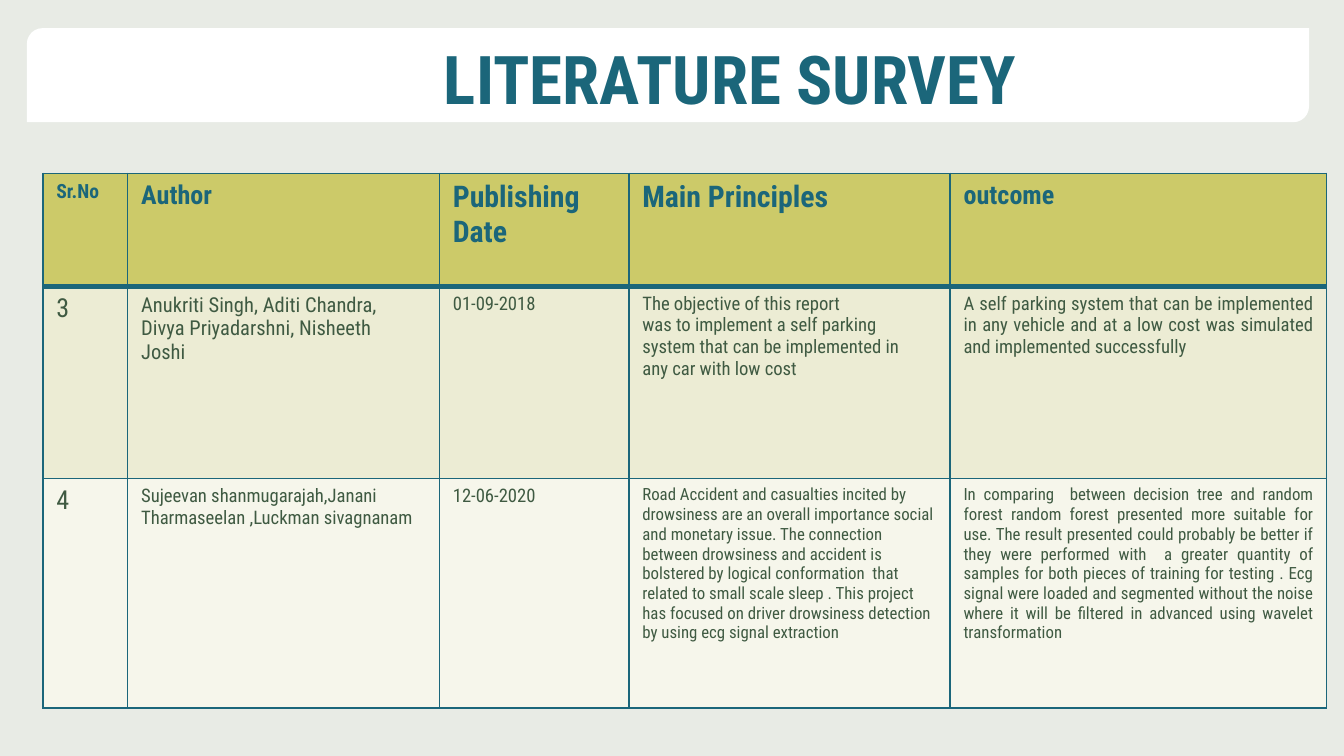
import pptx
import pptx.dml.color
import pptx.enum.shapes
import pptx.enum.text
import pptx.oxml
import pptx.oxml.ns
import pptx.util
from pptx.util import Inches

COLORS = {
    "background": "E8EBE5",
    "banner": "FFFFFF",
    "teal": "1B667A",
    "body": "3F5A42",
    "header": "CCCA69",
    "odd": "ECECD4",
    "even": "F6F6EB",
}
FONT = "Roboto Condensed"
COLUMN_WIDTHS = [0.63, 2.32, 1.41, 2.39, 2.8]
ROW_HEIGHTS = [0.84, 1.43, 1.71]
ROW_FILLS = ["header", "odd", "even"]
FONT_SIZES = [[10.5, 14, 16, 16, 14], [14, 11, 10, 10, 10], [14, 10, 10, 9, 9]]
ROWS = [
    ["Sr.No", "Author", "Publishing Date", "Main Principles", "outcome"],
    [
        "3",
        "Anukriti Singh, Aditi Chandra,\nDivya Priyadarshni, Nisheeth\nJoshi",
        "01-09-2018",
        "The objective of this report\nwas to implement a self parking\n"
        "system that can be implemented in\nany car with low cost",
        "A self parking system that can be implemented in any vehicle and at a low cost "
        "was simulated and implemented successfully",
    ],
    [
        "4",
        "Sujeevan shanmugarajah,Janani\nTharmaseelan ,Luckman sivagnanam",
        "12-06-2020",
        "Road Accident and casualties incited by drowsiness are an overall importance social "
        "and monetary issue. The connection between drowsiness and accident is bolstered by "
        "logical conformation  that related to small scale sleep . This project has focused on "
        "driver drowsiness detection by using ecg signal extraction",
        "In comparing  between decision tree and random forest random forest presented more "
        "suitable for use. The result presented could probably be better if they were performed "
        "with  a greater quantity of samples for both pieces of training for testing . Ecg signal "
        "were loaded and segmented without the noise where it will be filtered in advanced using "
        "wavelet transformation",
    ],
]


def rgb(name):
    """Return the named colour."""
    return pptx.dml.color.RGBColor.from_string(COLORS[name])


def style_paragraph(paragraph, size, color, bold):
    """Set the font of a whole paragraph."""
    paragraph.font.name = FONT
    paragraph.font.size = pptx.util.Pt(size)
    paragraph.font.bold = bold
    paragraph.font.color.rgb = rgb(color)


def set_border(cell, side, width):
    """Draw one side of a cell (L, R, T or B) with a width in points."""
    line = pptx.oxml.parse_xml(
        f'<a:ln{side} {pptx.oxml.ns.nsdecls("a")} w="{pptx.util.Pt(width)}"><a:solidFill>'
        f'<a:srgbClr val="{COLORS["teal"]}"/></a:solidFill></a:ln{side}>'
    )
    cell._tc.get_or_add_tcPr().append(line)


def add_banner(slide, left, top, width, height):
    """Add the title banner with two rounded corners."""
    banner = slide.shapes.add_shape(
        pptx.enum.shapes.MSO_SHAPE.ROUND_2_DIAG_RECTANGLE,
        Inches(left), Inches(top), Inches(width), Inches(height),
    )
    banner.shadow.inherit = False
    banner.fill.solid()
    banner.fill.fore_color.rgb = rgb("banner")
    banner.line.fill.background()
    frame = banner.text_frame
    frame.word_wrap = True
    frame.vertical_anchor = pptx.enum.text.MSO_ANCHOR.MIDDLE
    frame.margin_left = Inches(3.07)
    frame.margin_top = Inches(0.08)
    frame.margin_right = frame.margin_bottom = Inches(0.05)
    paragraph = frame.paragraphs[0]
    paragraph.text = "LITERATURE SURVEY"
    paragraph.alignment = pptx.enum.text.PP_ALIGN.LEFT
    style_paragraph(paragraph, 36, "teal", True)


def fill_cell(cell, row, column):
    """Write and style one cell of the survey table."""
    is_header = row == 0
    for side in "LRTB":
        touches_header = (is_header and side == "B") or (row == 1 and side == "T")
        set_border(cell, side, 3 if touches_header else 1)
    cell.fill.solid()
    cell.fill.fore_color.rgb = rgb(ROW_FILLS[row])
    cell.text = ROWS[row][column]
    for paragraph in cell.text_frame.paragraphs:
        style_paragraph(paragraph, FONT_SIZES[row][column], "teal" if is_header else "body", is_header)
        if not is_header and column == len(COLUMN_WIDTHS) - 1:
            paragraph.alignment = pptx.enum.text.PP_ALIGN.JUSTIFY


def add_survey_table(slide, left, top):
    """Add the literature table with its corner at the given point."""
    table = slide.shapes.add_table(
        len(ROWS), len(COLUMN_WIDTHS), Inches(left), Inches(top),
        Inches(sum(COLUMN_WIDTHS)), Inches(sum(ROW_HEIGHTS)),
    ).table
    for column, width in zip(table.columns, COLUMN_WIDTHS):
        column.width = Inches(width)
    for row, height in enumerate(ROW_HEIGHTS):
        table.rows[row].height = Inches(height)
        for column in range(len(COLUMN_WIDTHS)):
            fill_cell(table.cell(row, column), row, column)


def main():
    """Build and save the literature survey slide."""
    presentation = pptx.Presentation()
    presentation.slide_width = Inches(10)
    presentation.slide_height = Inches(10 * 9 / 16)
    slide = presentation.slides.add_slide(presentation.slide_layouts[6])
    slide.background.fill.solid()
    slide.background.fill.fore_color.rgb = rgb("background")
    add_banner(slide, 0.2, 0.21, 9.54, 0.7)
    add_survey_table(slide, 0.32, 1.29)
    presentation.save("out.pptx")


if __name__ == "__main__":
    main()
